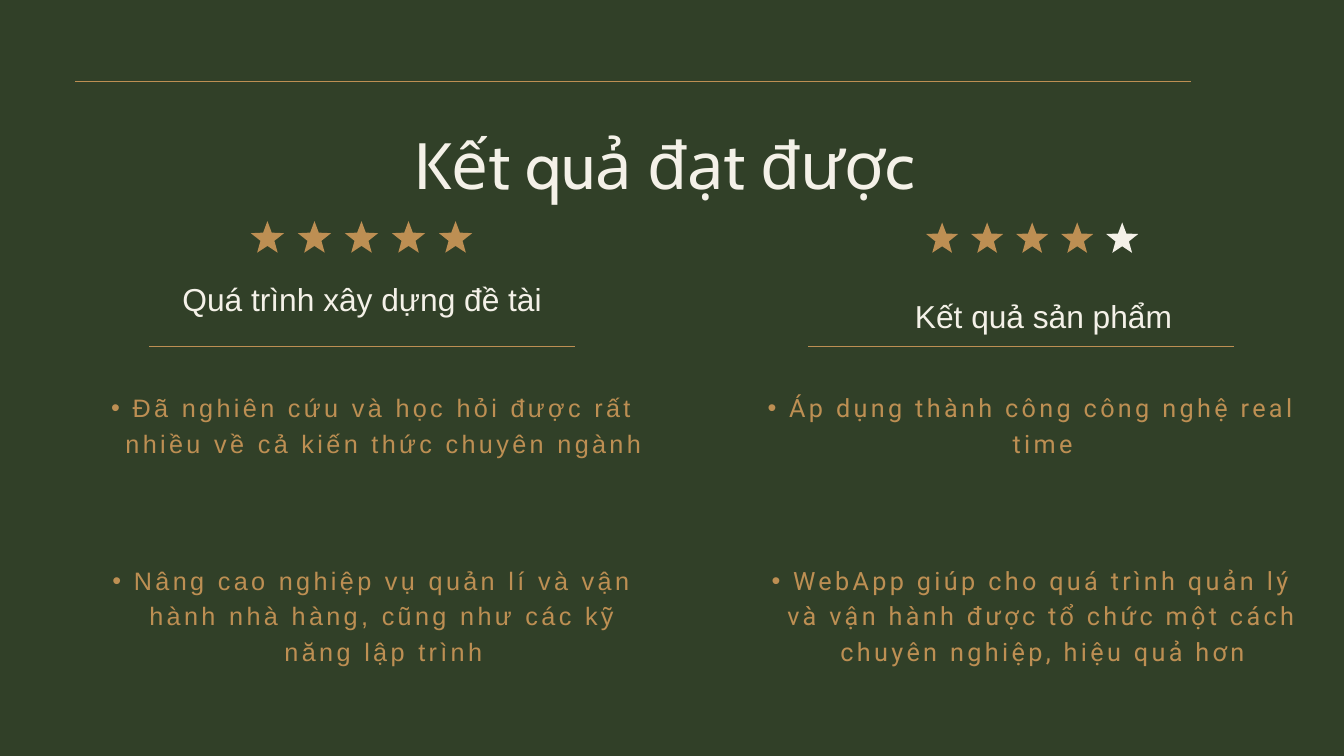
import math

import lxml.etree
import pptx
import pptx.dml.color
import pptx.enum.shapes
import pptx.enum.text
import pptx.oxml.ns
import pptx.util
from pptx.util import Inches

GREEN = pptx.dml.color.RGBColor(0x31, 0x40, 0x28)
GOLD = pptx.dml.color.RGBColor(0xBD, 0x8F, 0x53)
CREAM = pptx.dml.color.RGBColor(0xF4, 0xF1, 0xE8)

COLUMN_WIDTH = 8.41
RULE_INSET = 1.04
RULE_WIDTH = 6.34
RULE_TOP = 5.16
POINT_TOPS = (5.77, 8.34)
STAR_COUNT = 5


def write_text(box, text, font, size, color, line_spacing):
    """Fill a box with one centred paragraph and return the paragraph."""
    frame = box.text_frame
    frame.text = text
    frame.word_wrap = True
    frame.auto_size = pptx.enum.text.MSO_AUTO_SIZE.NONE
    frame.vertical_anchor = pptx.enum.text.MSO_ANCHOR.TOP
    frame.margin_left = frame.margin_right = 0
    frame.margin_top = frame.margin_bottom = 0
    para = frame.paragraphs[0]
    para.alignment = pptx.enum.text.PP_ALIGN.CENTER
    para.line_spacing = pptx.util.Pt(line_spacing)
    para.space_before = pptx.util.Pt(0)
    span = para.runs[0]
    span.font.name = font
    span.font.size = pptx.util.Pt(size)
    span.font.bold = False
    span.font.color.rgb = color
    return para


def place(box, left, top, width, height):
    box.left, box.top = Inches(left), Inches(top)
    box.width, box.height = Inches(width), Inches(height)


def add_rule(page, left, top, width):
    rule = page.shapes.add_connector(
        pptx.enum.shapes.MSO_CONNECTOR.STRAIGHT,
        Inches(left), Inches(top), Inches(left + width), Inches(top))
    rule.line.color.rgb = GOLD
    rule.line.width = pptx.util.Pt(1.5)
    lxml.etree.SubElement(rule._element.spPr, pptx.oxml.ns.qn("a:effectLst"))


def star_points(center, top, radius):
    """Corners of a five-pointed star, clockwise from its upper tip."""
    points = []
    for corner in range(10):
        reach = radius if corner % 2 == 0 else radius * 0.42
        angle = corner * math.pi / 5
        points.append((Inches(center + reach * math.sin(angle)),
                       Inches(top + radius - reach * math.cos(angle))))
    return points


def add_stars(page, centers, top, radius, color):
    """Draw a row of stars as a single outline."""
    stars = [star_points(center, top, radius) for center in centers]
    builder = page.shapes.build_freeform(*stars[0][0], scale=1.0)
    for index, points in enumerate(stars):
        if index:
            builder.move_to(*points[0])
        builder.add_line_segments(points[1:], close=True)
    row = builder.convert_to_shape()
    row.shadow.inherit = False
    row.fill.solid()
    row.fill.fore_color.rgb = color
    row.line.fill.background()


def add_rating(page, first_center, top, pitch, radius, score):
    centers = [first_center + pitch * index for index in range(STAR_COUNT)]
    for group, color in ((centers[:score], GOLD), (centers[score:], CREAM)):
        if group:
            add_stars(page, group, top, radius, color)


def fill_point(box, text, font, left, top):
    """Format a body placeholder as one bulleted point."""
    place(box, left, top, COLUMN_WIDTH, 1.54)
    para = write_text(box, text, font, 27, GOLD, 37.8)
    para.level = 1
    properties = para._p.get_or_add_pPr()
    properties.set("marL", str(Inches(0.64)))
    properties.set("indent", str(Inches(-0.32)))
    for tag, name, value in (("a:buFont", "typeface", "Arial"), ("a:buChar", "char", "•")):
        lxml.etree.SubElement(properties, pptx.oxml.ns.qn(tag)).set(name, value)
    para.runs[0].font._element.set("spc", "360")


def add_column(page, left, heading, heading_left, heading_top, font, bodies, points):
    # Heading and the rule below it
    box = page.shapes.add_textbox(Inches(heading_left), Inches(heading_top),
                                  Inches(RULE_WIDTH), Inches(0.56))
    write_text(box, heading, "Arial", 34, CREAM, 40.8)
    add_rule(page, left + RULE_INSET, RULE_TOP, RULE_WIDTH)
    # Bulleted points
    for body, text, top in zip(bodies, points, POINT_TOPS):
        fill_point(body, text, font, left, top)


def add_title(page):
    add_rule(page, 1.12, 1.21, 16.6)
    title = page.shapes.title
    place(title, 2.81, 1.93, 14.38, 1.11)
    write_text(title, "Kết quả đạt được ", "Cabin", 70, CREAM, 78.4)


def main():
    deck = pptx.Presentation()
    deck.slide_width, deck.slide_height = Inches(20), Inches(11.25)
    page = deck.slides.add_slide(deck.slide_layouts.get_by_name("Comparison"))
    page.background.fill.solid()
    page.background.fill.fore_color.rgb = GREEN
    bodies = [box for box in page.placeholders if box.placeholder_format.idx > 0]

    add_title(page)

    # Left column: the process
    add_rating(page, 3.98, 3.29, 0.7, 0.26, score=5)
    add_column(page, 1.18, "Quá trình xây dựng đề tài", 2.22, 4.17, "Arial", bodies[:2], (
        "Đã nghiên cứu và học hỏi được rất nhiều về cả kiến thức chuyên ngành",
        "Nâng cao nghiệp vụ quản lí và vận hành nhà hàng, cũng như các kỹ năng lập trình"))

    # Right column: the product
    add_rating(page, 14.02, 3.31, 0.67, 0.25, score=4)
    add_column(page, 10.99, "Kết quả sản phẩm", 12.36, 4.42, "Roboto", bodies[2:], (
        "Áp dụng thành công công nghệ real time",
        "WebApp giúp cho quá trình quản lý và vận hành được tổ chức một cách "
        "chuyên nghiệp, hiệu quả hơn"))

    deck.save("out.pptx")


if __name__ == "__main__":
    main()
